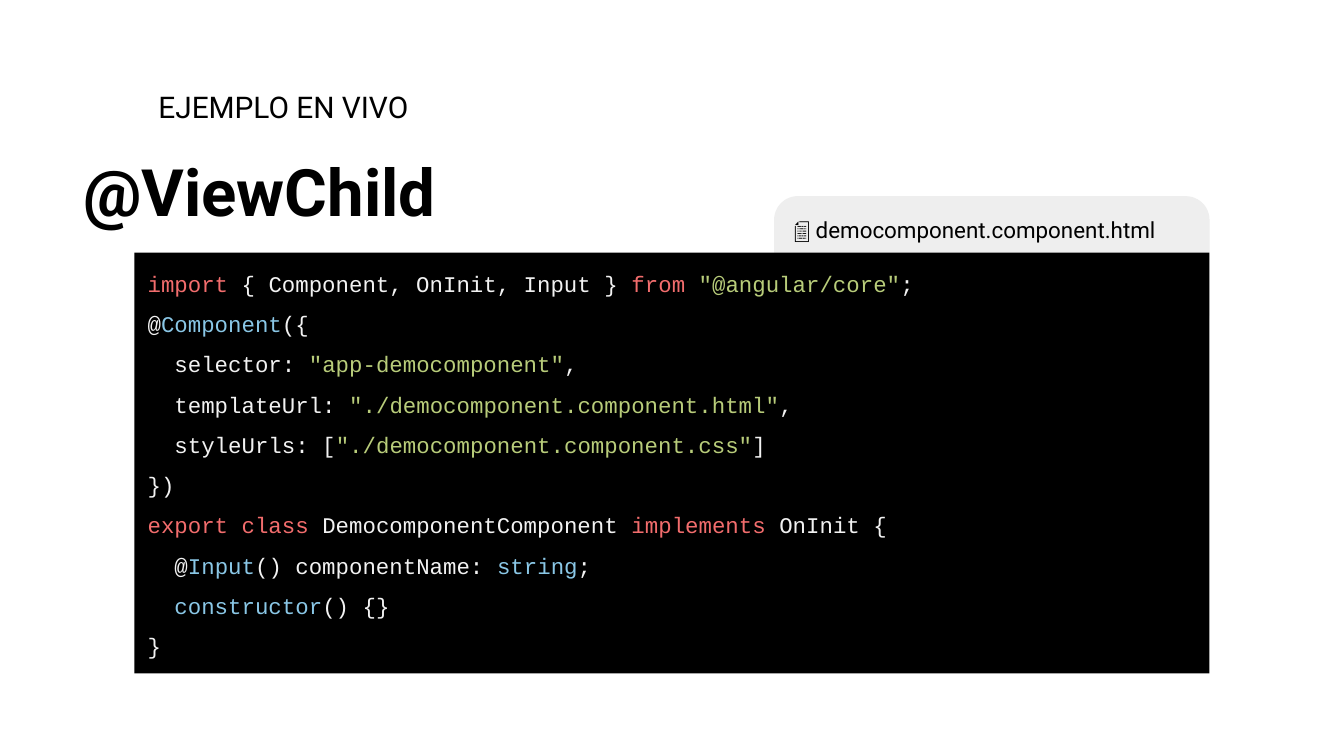
import pptx
import pptx.dml.color
import pptx.enum.shapes
import pptx.enum.text
import pptx.util

Pt = pptx.util.Pt
MSO_SHAPE = pptx.enum.shapes.MSO_SHAPE
ANCHOR = pptx.enum.text.MSO_ANCHOR
ALIGN = pptx.enum.text.PP_ALIGN
AUTO_SIZE = pptx.enum.text.MSO_AUTO_SIZE

KICKER = "EJEMPLO EN VIVO"
TITLE = "@ViewChild"
FILE_NAME = "📄 democomponent.component.html"

# Each line of code is a list of (text, syntax role).
CODE = [
    [("import", "keyword"), (" { Component, OnInit, Input } ", "plain"),
     ("from ", "keyword"), ('"@angular/core"', "string"), (";", "plain")],
    [("@", "plain"), ("Component", "type"), ("({", "plain")],
    [("  selector: ", "plain"), ('"app-democomponent"', "string"), (",", "plain")],
    [("  templateUrl: ", "plain"),
     ('"./democomponent.component.html"', "string"), (",", "plain")],
    [("  styleUrls: [", "plain"),
     ('"./democomponent.component.css"', "string"), ("]", "plain")],
    [("})", "plain")],
    [("export class", "keyword"), (" DemocomponentComponent ", "plain"),
     ("implements", "keyword"), (" OnInit {", "plain")],
    [("  @", "plain"), ("Input", "type"), ("() componentName: ", "plain"),
     ("string", "type"), (";", "plain")],
    [("  ", "plain"), ("constructor", "type"), ("() {}", "plain")],
    [("}", "plain")],
]

THEME = {
    "text_font": "Roboto", "code_font": "Courier New",
    "title_size": 35, "kicker_size": 16, "code_size": 12,
    "text": "000000", "tab": "EEEEEE", "code_box": "000000",
    "plain": "F2F2F2", "keyword": "F26D6D", "string": "B8CC7A", "type": "8AC7E6",
}
INSET = 7.2

# left, top, width, height in points
TITLE_BOX = (37.4, 78.5, 272.9, 52.6)
KICKER_BOX = (77.8, 40.3, 229.7, 33.8)
CODE_BOX = (72, 135.4, 576, 225.4)
TAB_WIDTH, TAB_TOP, TAB_HEIGHT = 233.3, 105.1, 76.3
TAB_BOX = (CODE_BOX[0] + CODE_BOX[2] - TAB_WIDTH, TAB_TOP, TAB_WIDTH, TAB_HEIGHT)


def color(role):
    return pptx.dml.color.RGBColor.from_string(THEME[role])


def prepare_frame(shape):
    frame = shape.text_frame
    frame.word_wrap = True
    frame.vertical_anchor = ANCHOR.TOP
    frame.margin_left = frame.margin_right = Pt(INSET)
    frame.margin_top = frame.margin_bottom = Pt(INSET)
    return frame


def write_line(shape, text, size, bold=False):
    frame = prepare_frame(shape)
    frame.text = text
    line = frame.paragraphs[0]
    line.alignment = ALIGN.LEFT
    line.font.name = THEME["text_font"]
    line.font.size = Pt(THEME[size])
    line.font.bold = bold
    line.font.color.rgb = color("text")
    return line


def add_panel(slide, preset, box, fill):
    panel = slide.shapes.add_shape(preset, *map(Pt, box))
    panel.shadow.inherit = False
    panel.fill.solid()
    panel.fill.fore_color.rgb = color(fill)
    panel.line.fill.background()
    return panel


def write_code(panel):
    frame = prepare_frame(panel)
    frame.auto_size = AUTO_SIZE.SHAPE_TO_FIT_TEXT
    for number, tokens in enumerate(CODE):
        line = frame.add_paragraph() if number else frame.paragraphs[0]
        line.alignment = ALIGN.LEFT
        line.line_spacing = 1.15
        line.space_before = Pt(5 if number else 0)
        line.font.name = THEME["code_font"]
        line.font.size = Pt(THEME["code_size"])
        for text, role in tokens:
            token = line.add_run()
            token.text = text
            token.font.color.rgb = color(role)


def main():
    deck = pptx.Presentation()
    deck.slide_width, deck.slide_height = Pt(720), Pt(405)
    slide = deck.slides.add_slide(deck.slide_layouts[5])

    title = slide.shapes.title
    title.left, title.top, title.width, title.height = map(Pt, TITLE_BOX)
    write_line(title, TITLE, "title_size", bold=True).line_spacing = 0.9

    kicker = slide.shapes.add_textbox(*map(Pt, KICKER_BOX))
    write_line(kicker, KICKER, "kicker_size")

    # The code box covers the lower, rounded end of the file tab.
    tab = add_panel(slide, MSO_SHAPE.ROUNDED_RECTANGLE, TAB_BOX, "tab")
    write_line(tab, FILE_NAME, "code_size")
    write_code(add_panel(slide, MSO_SHAPE.RECTANGLE, CODE_BOX, "code_box"))

    deck.save("out.pptx")


if __name__ == "__main__":
    main()
